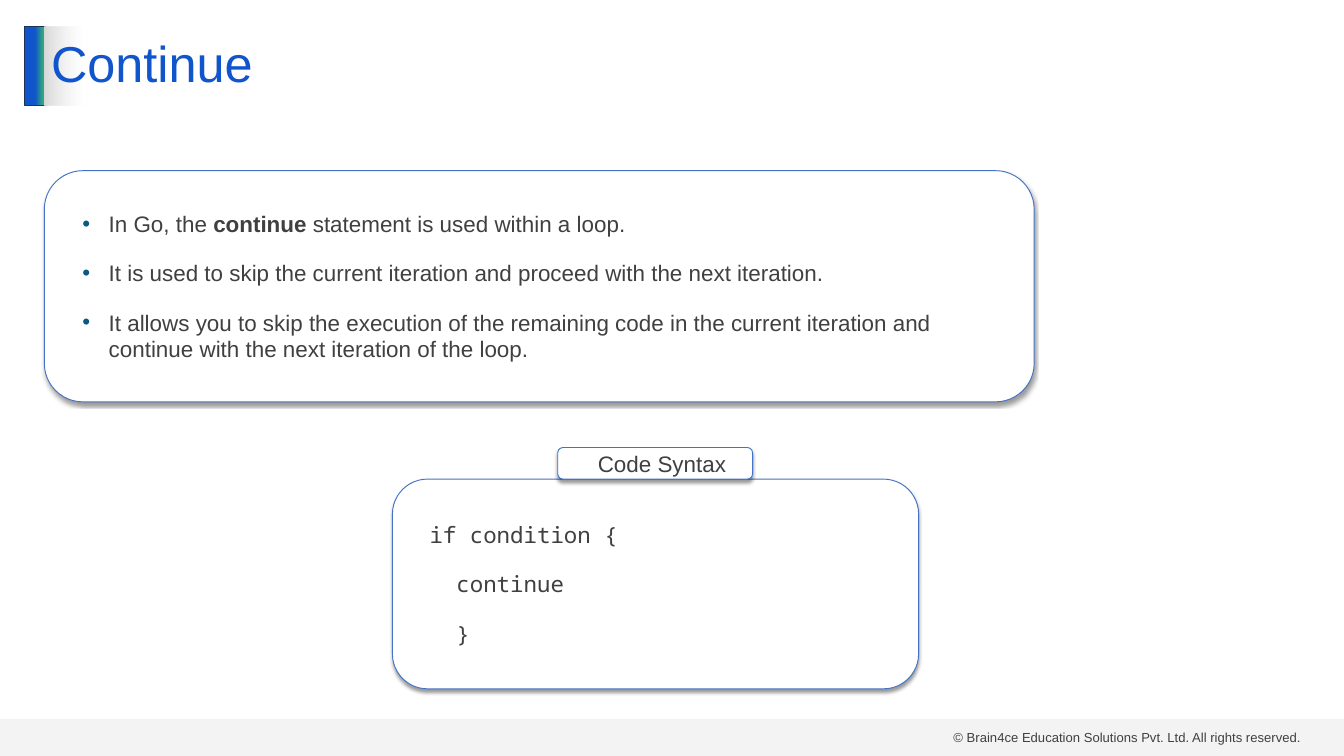
from dataclasses import dataclass

from lxml import etree
from pptx import Presentation
from pptx.dml.color import RGBColor
from pptx.enum.shapes import MSO_SHAPE
from pptx.enum.text import MSO_ANCHOR, MSO_AUTO_SIZE, PP_ALIGN
from pptx.oxml.ns import qn
from pptx.util import Pt

PX = 9144  # 100 px to the inch
RECT, ROUNDED = MSO_SHAPE.RECTANGLE, MSO_SHAPE.ROUNDED_RECTANGLE
LEFT, CENTER = PP_ALIGN.LEFT, PP_ALIGN.CENTER
MIDDLE, NO_FIT = MSO_ANCHOR.MIDDLE, MSO_AUTO_SIZE.NONE

BLUE = RGBColor(0x11, 0x55, 0xCC)
GREEN = RGBColor(0x2E, 0xA8, 0x7D)
NAVY = RGBColor(0x1E, 0x32, 0x56)
OUTLINE = RGBColor(0x44, 0x72, 0xC4)
BULLET = RGBColor(0x09, 0x5A, 0x82)
TEXT = RGBColor(0x40, 0x40, 0x40)
GREY = RGBColor(0xD9, 0xD9, 0xD9)
WHITE = RGBColor(0xFF, 0xFF, 0xFF)
BLACK = RGBColor(0, 0, 0)


@dataclass
class Box:
    x: int
    y: int
    w: int
    h: int


@dataclass
class Panel:
    box: Box
    lines: list  # each line is a list of (text, bold) runs
    font: str = "Arial"
    align: PP_ALIGN = LEFT
    bulleted: bool = False


LIST = Panel(Box(66, 254, 1473, 344), [
    [("In Go, the ", False), ("continue", True),
     (" statement is used within a loop.", False)],
    [("It is used to skip the current iteration and proceed with the next iteration.", False)],
    [("It allows you to skip the execution of the remaining code in the current "
      "iteration and continue with the next iteration of the loop.", False)],
], bulleted=True)
CODE = Panel(Box(584, 713, 783, 312),
             [[(line, False)] for line in ("if condition {", "  continue", "  }")],
             font="Noto Sans Mono")
LABEL = Panel(Box(830, 666, 290, 47), [[("Code Syntax", False)]], align=CENTER)


def place(s, box: Box) -> None:
    for name, value in zip(("left", "top", "width", "height"),
                           (box.x, box.y, box.w, box.h)):
        setattr(s, name, value * PX)


def add_box(shapes, kind: MSO_SHAPE, box: Box):
    s = shapes.add_shape(kind, 0, 0, 0, 0)
    place(s, box)
    s.shadow.inherit = False
    return s


def add_color(parent, color: RGBColor, alpha: int = 100) -> None:
    clr = etree.SubElement(parent, qn("a:srgbClr"), val=str(color))
    if alpha < 100:
        etree.SubElement(clr, qn("a:alpha"), val=str(alpha * 1000))


def set_gradient(s, stops: list) -> None:
    """Fill left to right; each stop is (percent, colour, alpha)."""
    s.fill.gradient()
    s.fill.gradient_angle = 0
    gs_list = s.fill._fill._gradFill.find(qn("a:gsLst"))
    for gs in list(gs_list):
        gs_list.remove(gs)
    for percent, color, alpha in stops:
        add_color(etree.SubElement(gs_list, qn("a:gs"), pos=str(percent * 1000)), color, alpha)


def add_run(p, text: str, **font) -> None:
    r = p.add_run()
    r.text = text
    color = font.pop("color")
    for name, value in font.items():
        setattr(r.font, name, value)
    r.font.color.rgb = color


def set_indent(p, margin: int, first: int, bulleted: bool) -> None:
    pPr = p._p.get_or_add_pPr()
    pPr.set("marL", str(margin * PX))
    pPr.set("indent", str(first * PX))
    if bulleted:
        add_color(etree.SubElement(pPr, qn("a:buClr")), BULLET)
        etree.SubElement(pPr, qn("a:buFont"), typeface="Arial")
        etree.SubElement(pPr, qn("a:buChar"), char="•")


def style_panel(s, panel: Panel) -> None:
    """Give a shape the outlined, shadowed look and the text of a panel."""
    s.fill.solid()
    s.fill.fore_color.rgb = WHITE
    s.line.color.rgb = OUTLINE
    s.line.width = Pt(1)
    s.shadow.inherit = False
    effects = s._element.spPr.find(qn("a:effectLst"))
    shadow = etree.SubElement(effects, qn("a:outerShdw"), blurRad=str(Pt(4)),
                              dist=str(Pt(3)), dir="5400000", rotWithShape="0")
    add_color(shadow, BLACK, 40)

    tf = s.text_frame
    for name, value in dict(word_wrap=True, auto_size=NO_FIT, vertical_anchor=MIDDLE,
                            margin_left=20 * PX, margin_right=20 * PX,
                            margin_top=10 * PX, margin_bottom=10 * PX).items():
        setattr(tf, name, value)
    for i, line in enumerate(panel.lines):
        p = tf.add_paragraph() if i else tf.paragraphs[0]
        set_indent(p, *((59, -39) if panel.bulleted else (20, 0)), panel.bulleted)
        p.alignment = panel.align
        p.space_before = Pt(24 if i else 0)
        for text, bold in line:
            add_run(p, text, name=panel.font, size=Pt(24), bold=bold, color=TEXT)


def add_master_parts(shapes) -> None:
    bar = add_box(shapes, RECT, Box(37, 39, 30, 118))
    set_gradient(bar, [(51, BLUE, 100), (90, GREEN, 100), (100, GREEN, 100)])
    bar.line.color.rgb = NAVY
    bar.line.width = Pt(1)

    band = add_box(shapes, RECT, Box(0, 1070, 2000, 55))
    band.fill.solid()
    band.fill.fore_color.rgb = GREY
    etree.SubElement(band._element.spPr.find(".//" + qn("a:srgbClr")),
                     qn("a:alpha"), val="29000")
    band.line.fill.background()

    note = shapes.add_textbox(0, 0, 0, 0)
    place(note, Box(1409, 1080, 541, 34))
    note.text_frame.word_wrap = True
    add_run(note.text_frame.paragraphs[0],
            "© Brain4ce Education Solutions Pvt. Ltd. All rights reserved.",
            name="Arial", size=Pt(14), color=TEXT)


def style_title(s) -> None:
    place(s, Box(66, 39, 1867, 118))
    set_gradient(s, [(0, GREY, 100), (3, WHITE, 50)])
    s.text_frame.vertical_anchor = MIDDLE
    s.text_frame.auto_size = NO_FIT
    p = s.text_frame.paragraphs[0]
    p.alignment = LEFT
    p.line_spacing = 0.9
    add_run(p, "Continue", name="Arial", size=Pt(54), color=BLUE)


def main() -> None:
    prs = Presentation()
    prs.slide_width, prs.slide_height = 2000 * PX, 1125 * PX
    slide = prs.slides.add_slide(prs.slide_layouts[1])
    shapes = slide.shapes
    title, body = shapes.title, slide.placeholders[1]

    add_master_parts(shapes)
    style_title(title)
    shapes._spTree.append(title._element)
    for panel in (CODE, LABEL):
        style_panel(add_box(shapes, ROUNDED, panel.box), panel)

    place(body, LIST.box)
    geometry = etree.SubElement(body._element.spPr, qn("a:prstGeom"), prst="roundRect")
    etree.SubElement(geometry, qn("a:avLst"))
    style_panel(body, LIST)
    shapes._spTree.append(body._element)
    prs.save("out.pptx")


if __name__ == "__main__":
    main()
